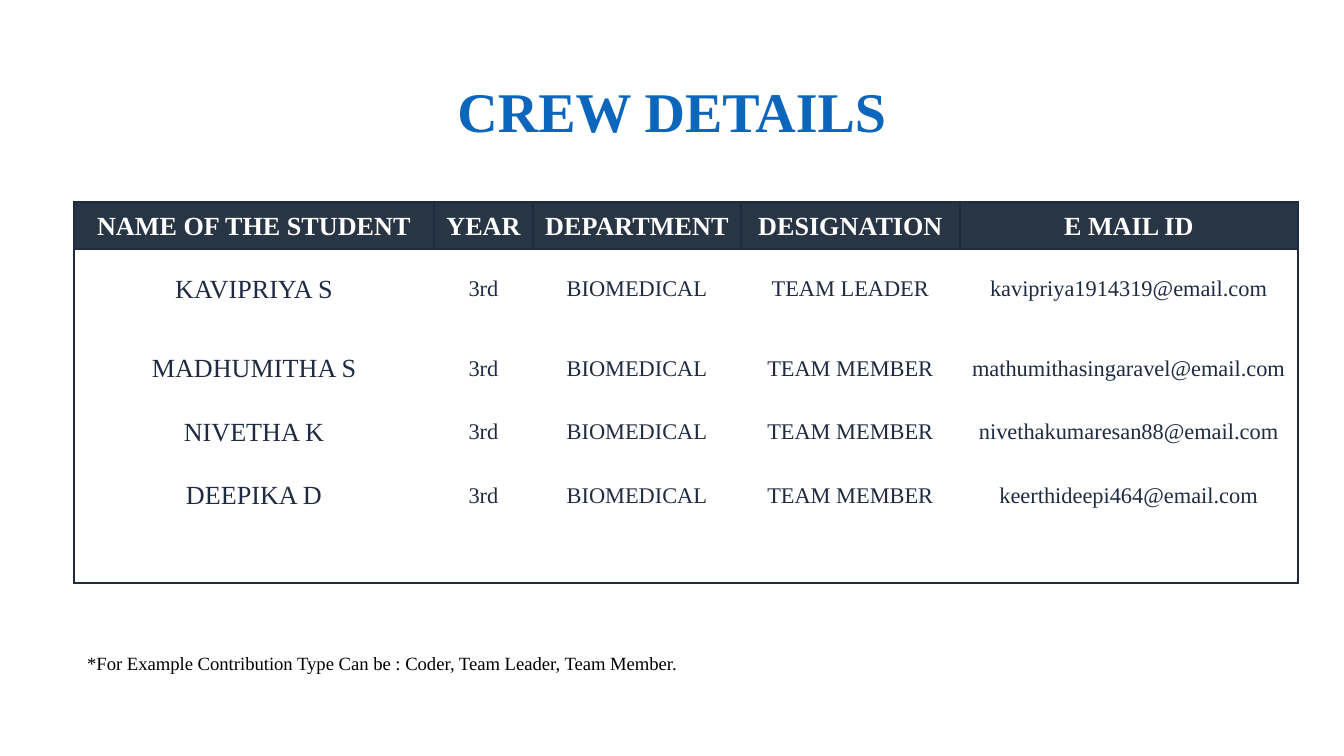
from pptx import Presentation
from pptx.dml.color import RGBColor
from pptx.enum.text import MSO_ANCHOR as Anchor, MSO_AUTO_SIZE as AutoSize, PP_ALIGN as Align
from pptx.oxml import parse_xml
from pptx.oxml.ns import nsdecls
from pptx.util import Emu, Pt

WHITE = RGBColor(0xFF, 0xFF, 0xFF)
BLACK = RGBColor(0x00, 0x00, 0x00)
BLUE = RGBColor(0x0B, 0x66, 0xBC)
SLATE = RGBColor(0x28, 0x35, 0x44)
NAVY = RGBColor(0x20, 0x2A, 0x41)
FONT = "Times New Roman"
PX_PER_INCH = 134.4

COLUMN_WIDTHS = [360, 99, 208, 219, 338]
ROW_HEIGHTS = [47, 79, 80, 47, 80, 48]
HEADINGS = ["NAME OF THE STUDENT", "YEAR", "DEPARTMENT", "DESIGNATION", "E MAIL ID"]
CREW = [
    ("KAVIPRIYA S", "TEAM LEADER", "kavipriya1914319@email.com"),
    ("MADHUMITHA S", "TEAM MEMBER", "mathumithasingaravel@email.com"),
    ("NIVETHA K", "TEAM MEMBER", "nivethakumaresan88@email.com"),
    ("DEEPIKA D", "TEAM MEMBER", "keerthideepi464@email.com"),
]


def px(length):
    return Emu(round(length * 914400 / PX_PER_INCH))


def style_paragraph(paragraph, size, color, bold=False, align=Align.LEFT):
    paragraph.alignment = align
    font = paragraph.font
    font.name, font.size, font.bold = FONT, Pt(size), bold
    font.color.rgb = color


def add_text(slide, box, text, size, color, bold=False, align=Align.LEFT):
    frame = slide.shapes.add_textbox(*map(px, box)).text_frame
    frame.word_wrap = True
    frame.text = text
    style_paragraph(frame.paragraphs[0], size, color, bold, align)
    return frame


def set_borders(cell, sides):
    """Draw the given sides (letters of LRTB) and hide the others."""
    properties = cell._tc.get_or_add_tcPr()
    for position, side in enumerate("LRTB"):
        line = f'<a:solidFill><a:srgbClr val="{NAVY}"/></a:solidFill>' if side in sides else "<a:noFill/>"
        properties.insert(position, parse_xml(
            f'<a:ln{side} {nsdecls("a")} w="{Pt(1)}">{line}</a:ln{side}>'))


def fill_cell(cell, text, size, color, bold):
    cell.vertical_anchor = Anchor.MIDDLE
    cell.margin_left = cell.margin_right = cell.margin_top = cell.margin_bottom = px(7)
    cell.text = text
    paragraph = cell.text_frame.paragraphs[0]
    style_paragraph(paragraph, size, color, bold, Align.CENTER)
    paragraph.line_spacing = Pt(16.5 if size == 14 else 14.2)


def add_crew_table(slide, left, top):
    rows = [HEADINGS]
    rows += [(name, "3rd", "BIOMEDICAL", role, email) for name, role, email in CREW]
    rows.append([""] * len(HEADINGS))
    last_row, last_column = len(rows) - 1, len(HEADINGS) - 1

    table = slide.shapes.add_table(
        len(rows), len(HEADINGS), px(left), px(top),
        px(sum(COLUMN_WIDTHS)), px(sum(ROW_HEIGHTS))).table
    table.first_row = table.horz_banding = False
    for column, width in zip(table.columns, COLUMN_WIDTHS):
        column.width = px(width)
    for row, height in zip(table.rows, ROW_HEIGHTS):
        row.height = px(height)

    for r, texts in enumerate(rows):
        for c, text in enumerate(texts):
            cell = table.cell(r, c)
            header = r == 0
            size = 14 if header or (c == 0 and text) else 12
            fill_cell(cell, text, size, WHITE if header else NAVY, header)
            if header:
                cell.fill.solid()
                cell.fill.fore_color.rgb = SLATE
                sides = "LRTB"
            else:
                cell.fill.background()
                on_edge = {"L": c == 0, "R": c == last_column, "T": r == 1, "B": r == last_row}
                sides = [side for side, drawn in on_edge.items() if drawn]
            set_borders(cell, sides)


def main():
    presentation = Presentation()
    presentation.slide_width, presentation.slide_height = px(1344), px(756)
    slide = presentation.slides.add_slide(presentation.slide_layouts[6])

    title = add_text(slide, (306, 58, 732, 85), "CREW DETAILS", 30, BLUE, True, Align.CENTER)
    title.margin_left = title.margin_right = title.margin_bottom = px(13)
    title.margin_top = px(19)
    add_crew_table(slide, 74, 202)
    footnote = add_text(
        slide, (74, 645, 1106, 36),
        "*For Example Contribution Type Can be : Coder, Team Leader, Team Member.", 10, BLACK)
    footnote.auto_size = AutoSize.SHAPE_TO_FIT_TEXT

    presentation.save("out.pptx")


if __name__ == "__main__":
    main()
